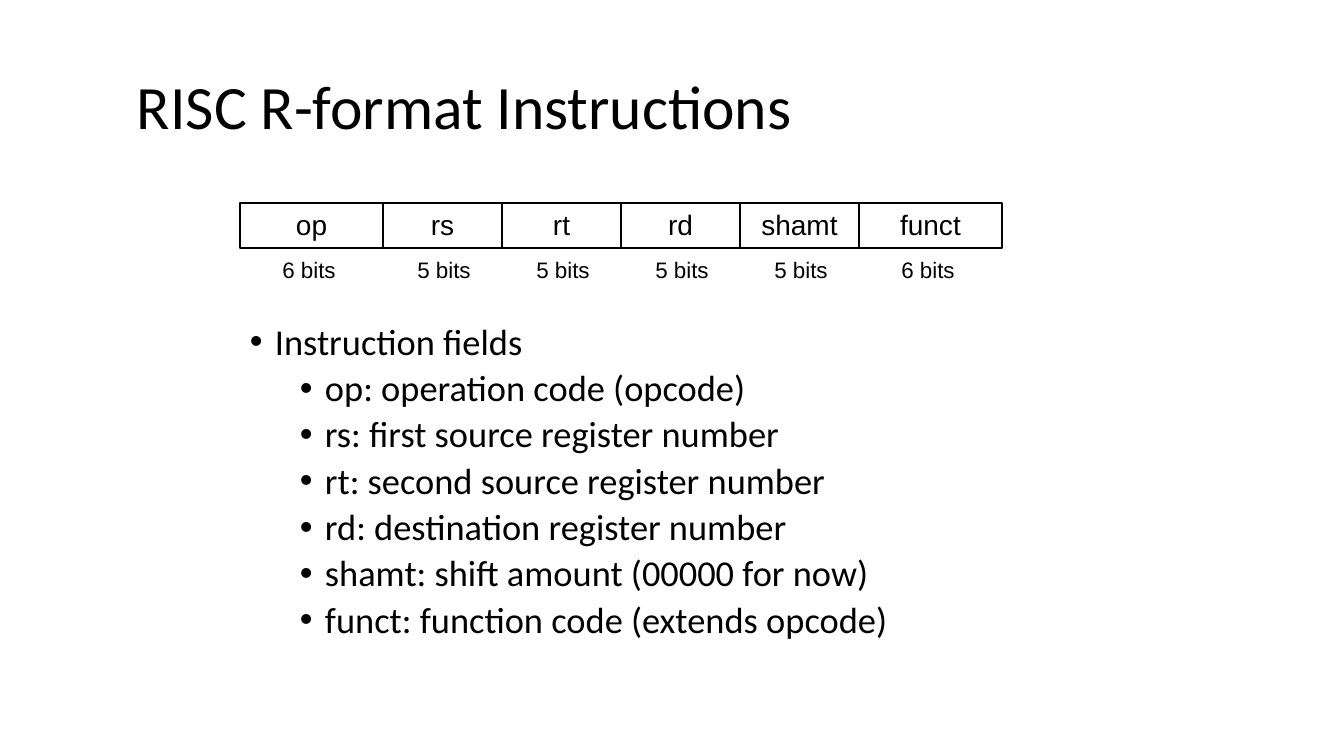
import pptx
import pptx.dml.color
import pptx.enum.shapes
import pptx.enum.text
import pptx.oxml.ns
import pptx.util
from lxml import etree

SCALE = 12192000 / 1344
COLORS = {"ink": "000000", "page": "FFFFFF"}
FIELDS = [("op", 6), ("rs", 5), ("rt", 5), ("rd", 5), ("shamt", 5), ("funct", 6)]
ITEMS = [
    ("Instruction fields", 0),
    ("op: operation code (opcode)", 1),
    ("rs: first source register number", 1),
    ("rt: second source register number", 1),
    ("rd: destination register number", 1),
    ("shamt: shift amount (00000 for now)", 1),
    ("funct: function code (extends opcode)", 1),
]
ALIGN = pptx.enum.text.PP_ALIGN
ANCHOR = pptx.enum.text.MSO_ANCHOR
GROW = pptx.enum.text.MSO_AUTO_SIZE.SHAPE_TO_FIT_TEXT


def px(num):
    return pptx.util.Emu(round(num * SCALE))


def color(name):
    return pptx.dml.color.RGBColor.from_string(COLORS[name])


def add_run(para, text, size, font):
    run = para.add_run()
    run.text = text
    run.font.size = pptx.util.Pt(size)
    run.font.name = font
    run.font.color.rgb = color("ink")


def add_box(slide, left, top, width, height):
    box = slide.shapes.add_textbox(px(left), px(top), px(width), px(height))
    box.text_frame.word_wrap = True
    return box.text_frame


def add_title(slide, text):
    frame = add_box(slide, 127, 37, 1159, 146)
    frame.vertical_anchor = ANCHOR.MIDDLE
    para = frame.paragraphs[0]
    para.line_spacing = 0.9
    add_run(para, text, 44, "Calibri")


def add_bullet(para, level):
    para.level = level
    props = para._p.get_or_add_pPr()
    props.set("marL", str(px(25 + 50 * level)))
    props.set("indent", str(-px(25)))
    qn = pptx.oxml.ns.qn
    tint = etree.SubElement(props, qn("a:buClr"))
    etree.SubElement(tint, qn("a:srgbClr"), val=COLORS["ink"])
    etree.SubElement(props, qn("a:buFont"), typeface="Arial")
    etree.SubElement(props, qn("a:buChar"), char="•")


def add_list(slide, items):
    frame = add_box(slide, 240, 319, 912, 373)
    for idx, (text, level) in enumerate(items):
        para = frame.add_paragraph() if idx else frame.paragraphs[0]
        add_bullet(para, level)
        para.line_spacing = 0.9
        if idx:
            para.space_before = pptx.util.Pt(5)
        add_run(para, text, 26, "Calibri")


def add_cell(slide, left, width, text):
    kind = pptx.enum.shapes.MSO_SHAPE.RECTANGLE
    cell = slide.shapes.add_shape(kind, px(left), px(203), px(width), px(45))
    cell.shadow.inherit = False
    cell.fill.background()
    cell.line.color.rgb = color("ink")
    cell.line.width = pptx.util.Pt(1.5)
    frame = cell.text_frame
    frame.vertical_anchor = ANCHOR.TOP
    frame.auto_size = GROW
    para = frame.paragraphs[0]
    para.alignment = ALIGN.CENTER
    add_run(para, text, 20, "Arial")


def add_label(slide, left, text):
    frame = add_box(slide, left, 251, 74, 37)
    frame.word_wrap = False
    frame.auto_size = GROW
    para = frame.paragraphs[0]
    para.alignment = ALIGN.CENTER
    add_run(para, text, 16, "Arial")


def add_format(slide, fields):
    left = 240
    for name, bits in fields:
        width = 24 * bits - 1
        add_cell(slide, left, width, name)
        add_label(slide, left + 8 * bits - 16, f"{bits} bits")
        left += width


def main():
    deck = pptx.Presentation()
    deck.slide_width = px(1344)
    deck.slide_height = px(756)
    slide = deck.slides.add_slide(deck.slide_layouts[6])
    slide.background.fill.solid()
    slide.background.fill.fore_color.rgb = color("page")
    add_title(slide, "RISC R-format Instructions")
    add_list(slide, ITEMS)
    add_format(slide, FIELDS)
    deck.save("out.pptx")


if __name__ == "__main__":
    main()
